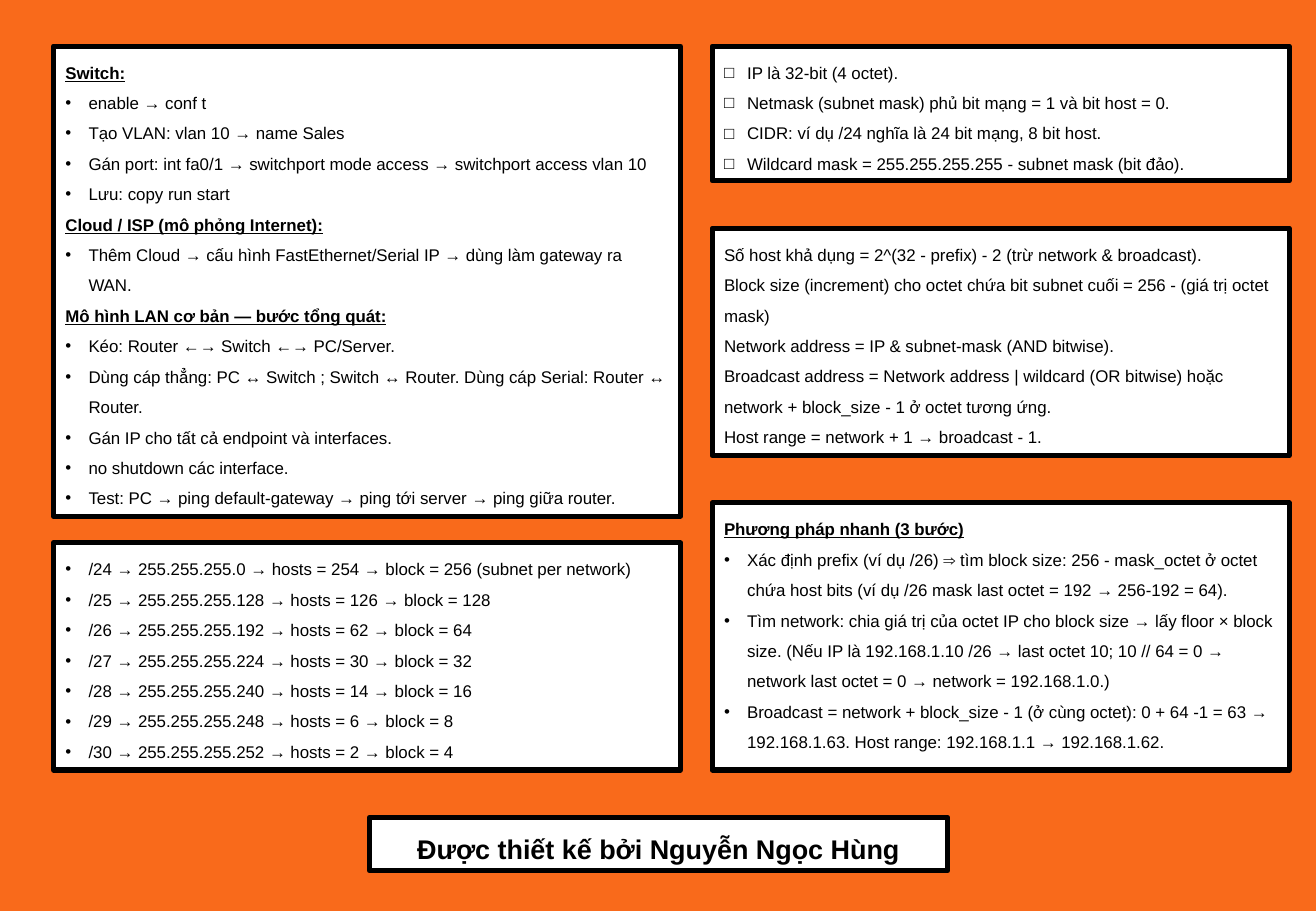
import pptx
import pptx.dml.color
import pptx.enum.shapes
import pptx.enum.text
import pptx.oxml.ns
import pptx.util
from lxml import etree

PX = 9144  # EMU per px, 100 px to the inch

ORANGE = pptx.dml.color.RGBColor(0xF9, 0x6A, 0x1B)
WHITE = pptx.dml.color.RGBColor(0xFF, 0xFF, 0xFF)
BLACK = pptx.dml.color.RGBColor(0x00, 0x00, 0x00)

ANCHOR = pptx.enum.text.MSO_ANCHOR
ALIGN = pptx.enum.text.PP_ALIGN
AUTO_SIZE = pptx.enum.text.MSO_AUTO_SIZE

BULLET_INDENT = 19
LEFT_X, LEFT_W = 44, 516
RIGHT_X, RIGHT_W = 586, 475
TOP_Y = 38

# Each section is a heading and its bullet items
DEVICE_SECTIONS = [
    ("Switch:", [
        "enable → conf t",
        "Tạo VLAN: vlan 10 → name Sales",
        "Gán port: int fa0/1 → switchport mode access → switchport access vlan 10",
        "Lưu: copy run start",
    ]),
    ("Cloud / ISP (mô phỏng Internet):", [
        "Thêm Cloud → cấu hình FastEthernet/Serial IP → dùng làm gateway ra WAN.",
    ]),
    ("Mô hình LAN cơ bản — bước tổng quát:", [
        "Kéo: Router ←→ Switch ←→ PC/Server.",
        "Dùng cáp thẳng: PC ↔ Switch ; Switch ↔ Router. Dùng cáp Serial: Router ↔ Router.",
        "Gán IP cho tất cả endpoint và interfaces.",
        "no shutdown các interface.",
        "Test: PC → ping default-gateway → ping tới server → ping giữa router.",
    ]),
]
QUICK_METHOD = [
    ("Phương pháp nhanh (3 bước)", [
        "Xác định prefix (ví dụ /26) ⇒ tìm block size: 256 - mask_octet ở octet "
        "chứa host bits (ví dụ /26 mask last octet = 192 → 256-192 = 64).",
        "Tìm network: chia giá trị của octet IP cho block size → lấy floor × block size. "
        "(Nếu IP là 192.168.1.10 /26 → last octet 10; 10 // 64 = 0 → "
        "network last octet = 0 → network = 192.168.1.0.)",
        "Broadcast = network + block_size - 1 (ở cùng octet): 0 + 64 -1 = 63 → "
        "192.168.1.63. Host range: 192.168.1.1 → 192.168.1.62.",
    ]),
]
IP_BASICS = [
    "IP là 32-bit (4 octet).",
    "Netmask (subnet mask) phủ bit mạng = 1 và bit host = 0.",
    "CIDR: ví dụ /24 nghĩa là 24 bit mạng, 8 bit host.",
    "Wildcard mask = 255.255.255.255 - subnet mask (bit đảo).",
]
FORMULAS = [
    "Số host khả dụng = 2^(32 - prefix) - 2 (trừ network & broadcast).",
    "Block size (increment) cho octet chứa bit subnet cuối = 256 - (giá trị octet mask)",
    "Network address = IP & subnet-mask (AND bitwise).",
    "Broadcast address = Network address | wildcard (OR bitwise) hoặc "
    "network + block_size - 1 ở octet tương ứng.",
    "Host range = network + 1 → broadcast - 1.",
]


def px(length):
    return pptx.util.Emu(length * PX)


def add_panel(slide, left, top, width, height, anchor=ANCHOR.TOP, grow=False):
    """Draw a white box with a black border and return its text frame."""
    panel = slide.shapes.add_shape(
        pptx.enum.shapes.MSO_SHAPE.RECTANGLE, px(left), px(top), px(width), px(height))
    panel.shadow.inherit = False
    panel.fill.solid()
    panel.fill.fore_color.rgb = WHITE
    panel.line.color.rgb = BLACK
    panel.line.width = pptx.util.Pt(3)
    frame = panel.text_frame
    frame.word_wrap = True
    frame.vertical_anchor = anchor
    frame.auto_size = AUTO_SIZE.SHAPE_TO_FIT_TEXT if grow else AUTO_SIZE.NONE
    return frame


def add_bullet(paragraph, char):
    properties = paragraph._p.get_or_add_pPr()
    properties.set("marL", str(px(BULLET_INDENT)))
    properties.set("indent", str(-px(BULLET_INDENT)))
    bullet_font = etree.SubElement(properties, pptx.oxml.ns.qn("a:buFont"))
    bullet_font.set("typeface", "Arial")
    etree.SubElement(properties, pptx.oxml.ns.qn("a:buChar")).set("char", char)


def add_text(frame, text, size=10, bold=False, underline=False,
             bullet=None, align=ALIGN.LEFT, spacing=1.5):
    """Write one paragraph, using the frame's first one while it is empty."""
    first = frame.paragraphs[0]
    paragraph = frame.add_paragraph() if first.runs else first
    if bullet:
        add_bullet(paragraph, bullet)
    paragraph.alignment = align
    paragraph.line_spacing = spacing
    run = paragraph.add_run()
    run.text = text
    run.font.name = "Arial"
    run.font.size = pptx.util.Pt(size)
    run.font.bold = bold
    run.font.underline = underline
    run.font.color.rgb = BLACK


def add_lines(frame, lines, bullet=None):
    for line in lines:
        add_text(frame, line, bullet=bullet)


def add_sections(frame, sections):
    for heading, items in sections:
        add_text(frame, heading, bold=True, underline=True)
        add_lines(frame, items, bullet="•")


def subnet_line(prefix):
    block = 2 ** (32 - prefix)
    note = " (subnet per network)" if prefix == 24 else ""
    return (f"/{prefix} → 255.255.255.{256 - block} → hosts = {block - 2}"
            f" → block = {block}{note}")


def main():
    deck = pptx.Presentation()
    deck.slide_width, deck.slide_height = px(1083), px(750)
    slide = deck.slides.add_slide(deck.slide_layouts[6])
    slide.background.fill.solid()
    slide.background.fill.fore_color.rgb = ORANGE

    # Left column: device setup and subnet list
    devices = add_panel(slide, LEFT_X, TOP_Y, LEFT_W, 387)
    add_sections(devices, DEVICE_SECTIONS)
    subnets = add_panel(slide, LEFT_X, 447, LEFT_W, 187, grow=True)
    add_lines(subnets, map(subnet_line, range(24, 31)), bullet="•")

    # Right column: IP basics, formulas and quick method
    basics = add_panel(slide, RIGHT_X, TOP_Y, RIGHT_W, 111, grow=True)
    add_lines(basics, IP_BASICS, bullet="□")
    formulas = add_panel(slide, RIGHT_X, 188, RIGHT_W, 187, grow=True)
    add_lines(formulas, FORMULAS)
    method = add_panel(slide, RIGHT_X, 414, RIGHT_W, 220)
    add_sections(method, QUICK_METHOD)

    # Author line
    author = add_panel(slide, 304, 673, 476, 44, anchor=ANCHOR.BOTTOM)
    add_text(author, "Được thiết kế bởi Nguyễn Ngọc Hùng",
             size=16, bold=True, align=ALIGN.CENTER, spacing=0.9)

    deck.save("out.pptx")


if __name__ == "__main__":
    main()
